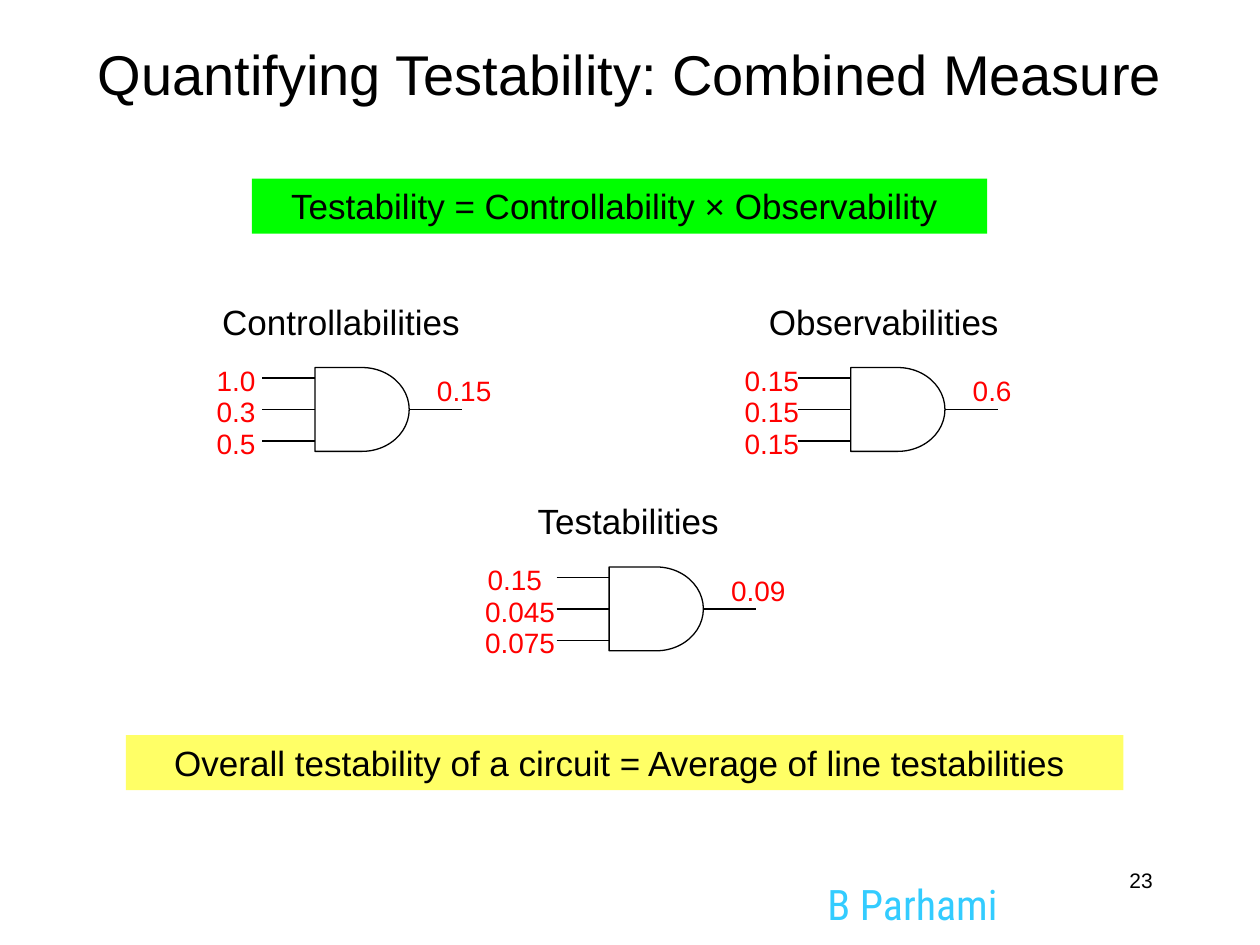
from lxml.etree import SubElement
from pptx import Presentation
from pptx.dml.color import RGBColor
from pptx.enum.shapes import MSO_CONNECTOR, MSO_SHAPE
from pptx.enum.text import MSO_ANCHOR, PP_ALIGN
from pptx.oxml.ns import qn
from pptx.util import Cm, Pt

BLACK, WHITE, RED = "000000", "FFFFFF", "FF0000"
GATE_WIDTH, GATE_HEIGHT = 1.9, 1.69
WIRE_LENGTH, WIRE_PITCH = 1.06, 0.635
VALUE_HEIGHT, VALUE_RISE = 0.93, 0.42
CAPTION_HEIGHT, CAPTION_RISE = 1.11, 1.48


def color(hex_code):
    return RGBColor.from_string(hex_code)


def write(shape, text, size, hex_code=BLACK, align=PP_ALIGN.LEFT,
          font="Arial", anchor=MSO_ANCHOR.TOP):
    text_frame = shape.text_frame
    text_frame.text = text
    text_frame.word_wrap = True
    text_frame.vertical_anchor = anchor
    paragraph = text_frame.paragraphs[0]
    paragraph.alignment = align
    run_font = paragraph.runs[0].font
    run_font.name = font
    run_font.size = Pt(size)
    run_font.color.rgb = color(hex_code)


def add_label(shapes, left, top, width, height, text, size, **style):
    box = shapes.add_textbox(Cm(left), Cm(top), Cm(width), Cm(height))
    write(box, text, size, **style)


def add_wire(shapes, left, y):
    wire = shapes.add_connector(MSO_CONNECTOR.STRAIGHT, Cm(left), Cm(y),
                                Cm(left + WIRE_LENGTH), Cm(y))
    wire.line.color.rgb = color(BLACK)
    wire.line.width = Pt(0.75)
    SubElement(wire._element.spPr, qn("a:effectLst"))
    return wire


def add_title(slide, left, top, width, height, text):
    title = slide.shapes.title
    title.left, title.top = Cm(left), Cm(top)
    title.width, title.height = Cm(width), Cm(height)
    write(title, text, 32, align=PP_ALIGN.CENTER, anchor=MSO_ANCHOR.MIDDLE)


def add_formula_bar(slide, left, top, width, height, text, fill):
    bar = slide.shapes.add_shape(MSO_SHAPE.RECTANGLE, Cm(left), Cm(top),
                                 Cm(width), Cm(height))
    bar.shadow.inherit = False
    bar.fill.solid()
    bar.fill.fore_color.rgb = color(fill)
    bar.line.fill.background()
    write(bar, text, 20, align=PP_ALIGN.CENTER)
    bar.text_frame.margin_right = Cm(0.45)


def add_gate(slide, left, top, caption, caption_shift, inputs, output,
             input_shift, input_widths):
    """Three-input gate with its body at left, top; shifts run leftwards from the body."""
    shapes = slide.shapes.add_group_shape().shapes
    body = shapes.add_shape(MSO_SHAPE.FLOWCHART_DELAY, Cm(left), Cm(top),
                            Cm(GATE_WIDTH), Cm(GATE_HEIGHT))
    body.shadow.inherit = False
    body.fill.solid()
    body.fill.fore_color.rgb = color(WHITE)
    body.line.color.rgb = color(BLACK)
    body.line.width = Pt(0.75)

    middle, right = top + GATE_HEIGHT / 2, left + GATE_WIDTH
    for index, (value, width) in enumerate(zip(inputs, input_widths)):
        y = middle + (index - 1) * WIRE_PITCH
        wire = add_wire(shapes, left - WIRE_LENGTH, y)
        if index == 1:
            wire.end_connect(body, 1)
        add_label(shapes, left - input_shift, y - VALUE_RISE, width, VALUE_HEIGHT,
                  value, 16, hex_code=RED, align=PP_ALIGN.CENTER)
    add_wire(shapes, right, middle).begin_connect(body, 3)
    add_label(shapes, right + 0.31, top, 1.8, VALUE_HEIGHT, output, 16, hex_code=RED)
    add_label(shapes, left - caption_shift, top - CAPTION_RISE, 6.1, CAPTION_HEIGHT,
              caption, 20)


def add_footer(slide, left, top, author, number):
    add_label(slide.shapes, left, top + 0.22, 4.6, 1.07, author, 24,
              hex_code="33CCFF", font="Roboto Condensed")
    add_label(slide.shapes, left + 1.77, top, 5.29, 1.27, number, 12,
              align=PP_ALIGN.RIGHT)


def main():
    presentation = Presentation()
    presentation.slide_width, presentation.slide_height = Cm(25.4), Cm(19.05)
    slide = presentation.slides.add_slide(presentation.slide_layouts[5])

    add_title(slide, 0.64, 0.62, 24.13, 1.69,
              "Quantifying Testability: Combined Measure")
    add_formula_bar(slide, 5.08, 3.6, 14.82, 1.11,
                    "Testability = Controllability × Observability", "00FF00")
    add_gate(slide, 6.35, 7.41, "Controllabilities", 2.12,
             ["1.0", "0.3", "0.5"], "0.15", 2.54, [1.9] * 3)
    add_gate(slide, 17.15, 7.41, "Observabilities", 1.9,
             ["0.15"] * 3, "0.6", 2.54, [1.9] * 3)
    add_gate(slide, 12.28, 11.43, "Testabilities", 1.69,
             ["0.15", "0.045", "0.075"], "0.09", 2.96, [2.12, 2.33, 2.33])
    add_formula_bar(slide, 2.54, 14.82, 20.11, 1.11,
                    "Overall testability of a circuit = Average of line testabilities",
                    "FFFF66")
    add_footer(slide, 16.43, 17.36, "B Parhami", "23")
    presentation.save("out.pptx")


if __name__ == "__main__":
    main()
